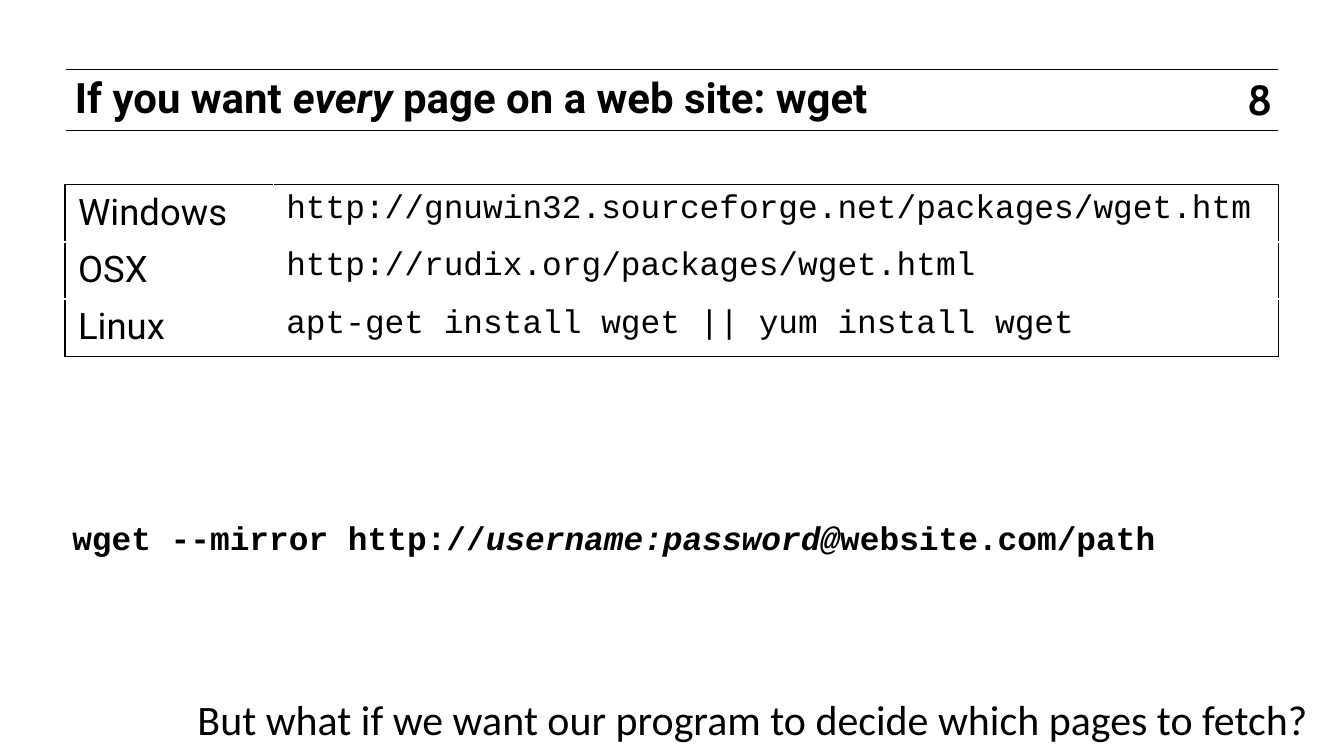
from lxml.etree import SubElement
from pptx import Presentation
from pptx.dml.color import RGBColor
from pptx.enum.shapes import MSO_CONNECTOR
from pptx.enum.text import MSO_ANCHOR, PP_ALIGN
from pptx.oxml import parse_xml
from pptx.oxml.ns import nsdecls, qn
from pptx.util import Cm, Inches, Pt

BLACK = RGBColor(0, 0, 0)
WHITE = RGBColor(255, 255, 255)
HEADING, BODY, CODE, NUMBER = "Roboto", "Calibri", "Courier New", "Cabin"

INSTALLS = [
    ("Windows", "http://gnuwin32.sourceforge.net/packages/wget.htm"),
    ("OSX", "http://rudix.org/packages/wget.html"),
    ("Linux", "apt-get install wget || yum install wget"),
]


def write(tf, *texts, font=BODY, size=23, bold=False, italics=(),
          align=PP_ALIGN.LEFT, anchor=MSO_ANCHOR.MIDDLE, margin=0.15, spacing=None):
    tf.word_wrap = True
    tf.vertical_anchor = anchor
    tf.margin_left = tf.margin_right = tf.margin_top = tf.margin_bottom = Cm(margin)
    p = tf.paragraphs[0]
    p.alignment = align
    if spacing:
        p.line_spacing = Pt(spacing)
    for i, text in enumerate(texts):
        r = p.add_run()
        r.text = text
        r.font.name = font
        r.font.size = Pt(size)
        r.font.bold = bold
        r.font.italic = i in italics
        r.font.color.rgb = BLACK


def add_text(s, x, y, w, h, *texts, **fmt):
    sp = s.shapes.add_textbox(Cm(x), Cm(y), Cm(w), Cm(h))
    write(sp.text_frame, *texts, **fmt)


def add_rule(s, x, y, w):
    line = s.shapes.add_connector(MSO_CONNECTOR.STRAIGHT, Cm(x), Cm(y), Cm(x + w), Cm(y))
    line.line.color.rgb = BLACK
    line.line.width = Pt(0.5)
    SubElement(line._element.spPr, qn("a:effectLst"))


def add_header(s, x, y, w, h):
    for rule_y in (y, y + h):
        add_rule(s, x, rule_y, w)
    add_text(s, x + w - 0.86, y + 0.08, 1, 0.97, "8", font=NUMBER, bold=True,
             align=PP_ALIGN.CENTER, margin=0)
    title = s.shapes.title
    title.left, title.top = Cm(x + 0.03), Cm(y + 0.05)
    title.width, title.height = Cm(w - 1.6), Cm(1.27)
    write(title.text_frame, "If you want ", "every", " page on a web site: wget",
          font=HEADING, bold=True, italics=[1], anchor=MSO_ANCHOR.TOP, spacing=23)


def set_borders(cell, **colors):
    tc_pr = cell._tc.get_or_add_tcPr()
    for i, (side, color) in enumerate(colors.items()):
        tc_pr.insert(i, parse_xml(
            f'<a:ln{side} {nsdecls("a")} w="{Pt(1)}"><a:solidFill>'
            f'<a:srgbClr val="{color}"/></a:solidFill></a:ln{side}>'))


def add_installs(s, x, y, w, h):
    last = len(INSTALLS) - 1
    table = s.shapes.add_table(len(INSTALLS), 2, Cm(x), Cm(y), Cm(w), Cm(h)).table
    table.first_row = table.horz_banding = False
    table.columns[0].width = Cm(4.03)
    table.columns[1].width = Cm(w - 4.03)
    for i, texts in enumerate(INSTALLS):
        table.rows[i].height = Cm(h / len(INSTALLS))
        for j, (text, font, size) in enumerate(zip(texts, (HEADING, CODE), (20, 18))):
            cell = table.cell(i, j)
            write(cell.text_frame, text, font=font, size=size)
            cell.vertical_anchor = MSO_ANCHOR.TOP
            cell.margin_left = cell.margin_right = Cm(0.25)
            cell.margin_top = cell.margin_bottom = Cm(0.13)
            cell.fill.background()
            set_borders(cell,
                        L=BLACK if j == 0 else WHITE,
                        R=BLACK if j == 1 else WHITE,
                        T=BLACK if i == 0 else WHITE,
                        B=BLACK if i == last else WHITE)


def add_command(s, x, y, w, h):
    add_text(s, x, y, w, h, "wget --mirror http://", "username:password@",
             "website.com/path", font=CODE, size=18, bold=True, italics=[1])


def add_question(s, x, y, w, h):
    add_text(s, x, y, w, h,
             "But what if we want our program to decide which pages to fetch?",
             align=PP_ALIGN.CENTER)


def main():
    prs = Presentation()
    prs.slide_width, prs.slide_height = Inches(10.24), Inches(5.75)
    s = prs.slides.add_slide(prs.slide_layouts[5])
    add_header(s, 1.27, 1.35, 23.47, 1.17)
    add_installs(s, 1.26, 3.57, 23.48, 3.3)
    add_command(s, 1.25, 9.86, 21.84, 1.07)
    add_question(s, 3.55, 13.26, 22.07, 1.27)
    prs.save("out.pptx")


if __name__ == "__main__":
    main()
